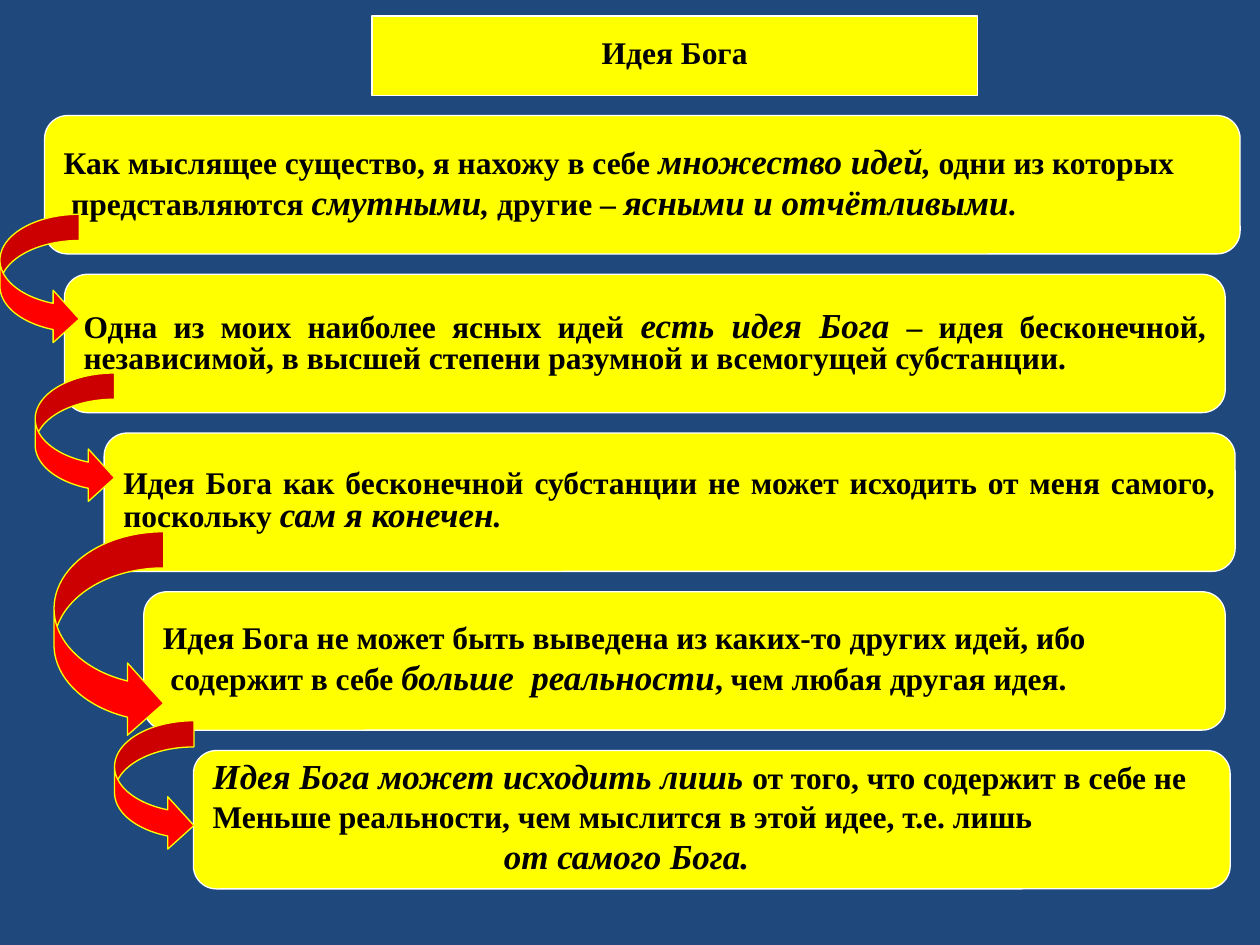
from lxml.etree import SubElement
from pptx import Presentation
from pptx.dml.color import RGBColor
from pptx.enum.shapes import MSO_SHAPE
from pptx.enum.text import MSO_ANCHOR, MSO_AUTO_SIZE, PP_ALIGN
from pptx.oxml.ns import qn
from pptx.util import Cm, Pt

COLORS = {"back": "1F497D", "box": "FFFF00", "edge": "FFFFFF", "arrow": "FF0000", "text": "000000"}
PLAIN, SLANT, STRONG = (18, False), (18, True), (20, True)
TITLE = "Идея Бога"
TOP, STEP, BOX_HEIGHT = 2.33, 3.2, 2.79

STATEMENTS = [
    (0.9, 24.1, [
        (0, [("Как мыслящее существо, я нахожу в себе ", PLAIN), ("множество идей", STRONG),
             (", ", SLANT), ("одни из которых", PLAIN)]),
        (0.15, [("представляются ", PLAIN), ("смутными", STRONG), (", ", SLANT),
                ("другие – ", PLAIN), ("ясными и отчётливыми", STRONG), (".", SLANT)]),
    ]),
    (1.3, 23.4, [
        (0, [("Одна из моих наиболее ясных идей ", PLAIN), ("есть идея Бога ", STRONG),
             ("– идея бесконечной,\nнезависимой, в высшей степени разумной "
              "и всемогущей субстанции.", PLAIN)]),
    ]),
    (2.1, 22.8, [
        (0, [("Идея Бога как бесконечной субстанции не может исходить от меня самого,\n"
              "поскольку ", PLAIN), ("сам я конечен", STRONG), (".", SLANT)]),
    ]),
    (2.9, 21.8, [
        (0, [("Идея Бога не может быть выведена из каких-то других идей, ибо", PLAIN)]),
        (0.15, [("содержит в себе ", PLAIN), ("больше  реальности", STRONG),
                (", чем любая другая идея.", PLAIN)]),
    ]),
    (3.9, 20.9, [
        (0, [("Идея Бога может исходить лишь ", STRONG),
             ("от того, что содержит в себе не", PLAIN)]),
        (0, [("Меньше реальности, чем мыслится в этой идее, т.е. лишь", PLAIN)]),
        (5.87, [("от самого Бога.", STRONG)]),
    ]),
]
ARROWS = [(0, 4.32, 1.6, 2.64), (0.71, 7.52, 1.6, 2.64),
          (1.09, 10.72, 2.21, 4.19), (2.31, 14.53, 1.6, 2.64)]


class Deck:
    """Holds the style and the current slide."""

    def __init__(self, prs):
        self.font = "Times New Roman"
        self.line = Pt(0.75)
        self.s = prs.slides.add_slide(prs.slide_layouts[5])
        fill = self.s.background.fill
        fill.solid()
        fill.fore_color.rgb = self.color("back")

    def color(self, name):
        return RGBColor.from_string(COLORS[name])

    def paint(self, sp, fill, line):
        sp.fill.solid()
        sp.fill.fore_color.rgb = self.color(fill)
        sp.line.color.rgb = self.color(line)
        sp.line.width = self.line

    def text(self, sp, paragraphs, align):
        tf = sp.text_frame
        tf.word_wrap = False
        tf.auto_size = MSO_AUTO_SIZE.NONE
        tf.vertical_anchor = MSO_ANCHOR.MIDDLE
        for i, (indent, runs) in enumerate(paragraphs):
            p = tf.add_paragraph() if i else tf.paragraphs[0]
            p.alignment = align
            p.line_spacing = 0.8
            p.space_before = Pt(4.5 if i else 0)
            if indent:
                p._p.get_or_add_pPr().set("marL", str(Cm(indent)))
            for words, style in runs:
                self.run(p, words, style)

    def run(self, p, words, style):
        for i, part in enumerate(words.split("\n")):
            if i:
                p.add_line_break()
            r = p.add_run()
            r.text = part
            r.font.name = self.font
            r.font.bold = True
            r.font.size, r.font.italic = Pt(style[0]), style[1]
            r.font.color.rgb = self.color("text")

    def title(self, words, left, top, width, height):
        sp = self.s.shapes.title
        sp.left, sp.top, sp.width, sp.height = Cm(left), Cm(top), Cm(width), Cm(height)
        geom = SubElement(sp.element.spPr, qn("a:prstGeom"), prst="roundRect")
        SubElement(geom, qn("a:avLst"))
        self.paint(sp, "box", "edge")
        self.text(sp, [(0, [(words, PLAIN)])], PP_ALIGN.CENTER)

    def shape(self, kind, left, top, width, height, fill, line):
        sp = self.s.shapes.add_shape(kind, Cm(left), Cm(top), Cm(width), Cm(height))
        sp.shadow.inherit = False
        self.paint(sp, fill, line)
        return sp

    def box(self, left, top, width, height, paragraphs):
        sp = self.shape(MSO_SHAPE.ROUNDED_RECTANGLE, left, top, width, height, "box", "edge")
        self.text(sp, paragraphs, PP_ALIGN.JUSTIFY)

    def arrow(self, left, top, width, height):
        sp = self.shape(MSO_SHAPE.CURVED_RIGHT_ARROW, left, top, width, height, "arrow", "box")
        for i, value in enumerate((0.33, 0.66, 0.33)):
            sp.adjustments[i] = value


def main():
    prs = Presentation()
    prs.slide_width, prs.slide_height = Cm(25.4), Cm(19.05)
    deck = Deck(prs)
    deck.title(TITLE, 7.5, 0.32, 12.2, 1.6)
    for i, (left, width, paragraphs) in enumerate(STATEMENTS):
        deck.box(left, TOP + i * STEP, width, BOX_HEIGHT, paragraphs)
    for place in ARROWS:
        deck.arrow(*place)
    prs.save("out.pptx")


if __name__ == "__main__":
    main()
